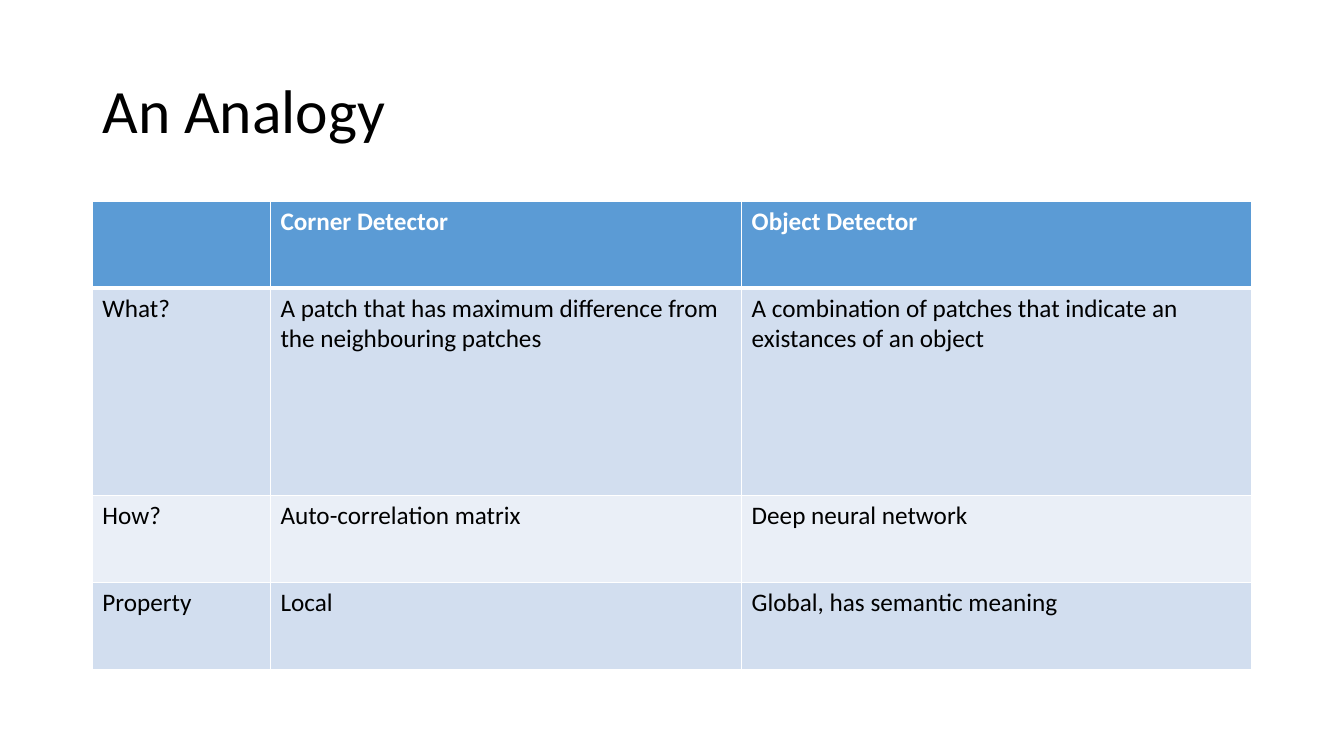
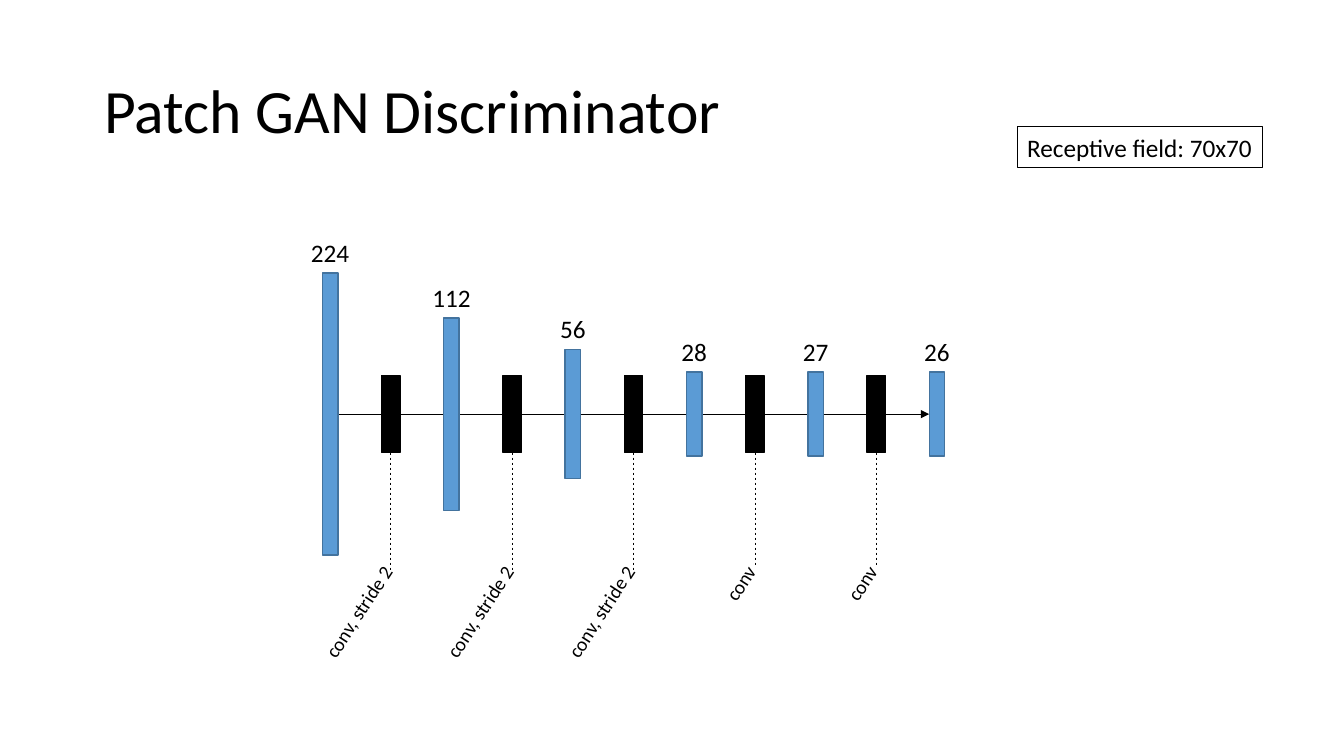
"""Build two slides: a detector analogy table and a patch discriminator diagram."""
from itertools import pairwise
from typing import Any, NamedTuple

from lxml.etree import SubElement
from pptx import Presentation
from pptx.dml.color import RGBColor
from pptx.enum.dml import MSO_LINE
from pptx.enum.shapes import MSO_CONNECTOR, MSO_SHAPE
from pptx.enum.text import MSO_ANCHOR, MSO_AUTO_SIZE as AutoSize, PP_ALIGN
from pptx.oxml import parse_xml
from pptx.oxml.ns import nsdecls, qn
from pptx.slide import Slide
from pptx.util import Emu, Inches, Pt

SLIDE_W, SLIDE_H = Emu(Inches(40) // 3), Inches(7.5)
COLUMNS, ROWS = 160, 90

BLACK = RGBColor(0x00, 0x00, 0x00)
WHITE = RGBColor(0xFF, 0xFF, 0xFF)
BLUE = RGBColor(0x5B, 0x9B, 0xD5)
DARK_BLUE = RGBColor(0x43, 0x73, 0x9E)
BAND_DARK = RGBColor(0xD2, 0xDE, 0xEF)
BAND_LIGHT = RGBColor(0xEA, 0xEF, 0xF7)

TITLE_FONT = {"name": "Calibri", "size": Pt(44), "bold": False}
BODY_FONT = {"name": "Calibri", "size": Pt(18), "bold": False}
HEADER_FONT = BODY_FONT | {"bold": True}
LABEL_FONT = BODY_FONT | {"size": Pt(14)}
TITLE_FRAME = {"vertical_anchor": MSO_ANCHOR.MIDDLE, "auto_size": AutoSize.NONE, "word_wrap": True}
TITLE_PARAGRAPH = {"alignment": PP_ALIGN.LEFT, "line_spacing": 0.9}
LABEL_FRAME = {"auto_size": AutoSize.SHAPE_TO_FIT_TEXT, "word_wrap": False}

COLUMN_WIDTHS = (21.2, 56.1, 60.7)
ROW_HEIGHTS = (10.3, 24.7, 10.35, 10.35)
ROW_FILLS = (BLUE, BAND_DARK, BAND_LIGHT, BAND_DARK)
ANALOGY = (
    ("", "Corner Detector", "Object Detector"),
    ("What?", "A patch that has maximum difference from the neighbouring patches",
     "A combination of patches that indicate an existances of an object"),
    ("How?", "Auto-correlation matrix", "Deep neural network"),
    ("Property", "Local", "Global, has semantic meaning"),
)

AXIS_ROW, FIRST_COL, PITCH = 49.3, 39.3, 14.45
MAP_WIDTH, KERNEL_WIDTH, KERNEL_HEIGHT = 1.85, 2.2, 9.15
CAPTION_WIDTH, CAPTION_HEIGHT = 7, 4.85


class Box(NamedTuple):
    left: float
    top: float
    width: float
    height: float

    def emu(self) -> tuple[Emu, Emu, Emu, Emu]:
        return col(self.left), row(self.top), col(self.width), row(self.height)


class FeatureMap(NamedTuple):
    size: str
    height: float


class LabelStyle(NamedTuple):
    shift: float
    middle: float
    length: float
    leader_end: float


class Layer(NamedTuple):
    label: str
    style: LabelStyle


STRIDED = LabelStyle(-3.65, 73.65, 13.7, 67.95)
PLAIN = LabelStyle(-1.5, 70.25, 5.65, 67.4)
FEATURE_MAPS = (
    FeatureMap("224", 33.6), FeatureMap("112", 22.9), FeatureMap("56", 15.4),
    FeatureMap("28", 10), FeatureMap("27", 10), FeatureMap("26", 10),
)
LAYERS = (Layer("conv, stride 2", STRIDED),) * 3 + (Layer("conv", PLAIN),) * 2


def col(count: float) -> Emu:
    return Emu(round(SLIDE_W * count / COLUMNS))


def row(count: float) -> Emu:
    return Emu(round(SLIDE_H * count / ROWS))


def centred(x: float, y: float, width: float, height: float) -> Box:
    return Box(x - width / 2, y - height / 2, width, height)


def assign(target: Any, values: dict[str, Any]) -> None:
    for key, value in values.items():
        setattr(target, key, value)


def write(frame: Any, text: str, font: dict[str, Any], color: RGBColor = BLACK) -> None:
    frame.text = text
    paragraph = frame.paragraphs[0]
    for part in (paragraph, *paragraph.runs):
        assign(part.font, font)
        part.font.color.rgb = color


def titled_slide(deck: Any, text: str, left: float) -> Slide:
    slide = deck.slides.add_slide(deck.slide_layouts[5])
    title = slide.shapes.title
    spot = Box(left, 4.8, 138, 17.4).emu()
    assign(title, dict(zip(("left", "top", "width", "height"), spot)))
    write(title.text_frame, text, TITLE_FONT)
    assign(title.text_frame, TITLE_FRAME)
    assign(title.text_frame.paragraphs[0], TITLE_PARAGRAPH)
    return slide


def add_block(slide: Slide, box: Box, fill: RGBColor | None, line: RGBColor, weight: float) -> Any:
    block = slide.shapes.add_shape(MSO_SHAPE.RECTANGLE, *box.emu())
    block.shadow.inherit = False
    if fill is None:
        block.fill.background()
    else:
        block.fill.solid()
        block.fill.fore_color.rgb = fill
    block.line.color.rgb = line
    block.line.width = Pt(weight)
    return block


def add_label(slide: Slide, box: Box, text: str, font: dict[str, Any]) -> Any:
    label = slide.shapes.add_textbox(*box.emu())
    write(label.text_frame, text, font)
    assign(label.text_frame, LABEL_FRAME)
    return label


def add_line(slide: Slide, start: tuple[float, float], end: tuple[float, float]) -> Any:
    line = slide.shapes.add_connector(
        MSO_CONNECTOR.STRAIGHT, col(start[0]), row(start[1]), col(end[0]), row(end[1]))
    line.line.color.rgb = BLACK
    line.line.width = Pt(0.5)
    SubElement(line._element.spPr, qn("a:effectLst"))
    return line


def set_borders(cell: Any, weights: dict[str, float]) -> None:
    properties = cell._tc.get_or_add_tcPr()
    for index, (side, weight) in enumerate(weights.items()):
        properties.insert(index, parse_xml(
            f'<a:ln{side} {nsdecls("a")} w="{Pt(weight)}"><a:solidFill>'
            f'<a:srgbClr val="{WHITE}"/></a:solidFill></a:ln{side}>'))


def add_analogy(slide: Slide) -> None:
    spot = Box(11, 24, sum(COLUMN_WIDTHS), sum(ROW_HEIGHTS))
    table = slide.shapes.add_table(len(ANALOGY), len(COLUMN_WIDTHS), *spot.emu()).table
    for column, width in zip(table.columns, COLUMN_WIDTHS):
        column.width = col(width)
    for index, (texts, height, fill) in enumerate(zip(ANALOGY, ROW_HEIGHTS, ROW_FILLS)):
        table.rows[index].height = row(height)
        header = index == 0
        for cell, text in zip(table.rows[index].cells, texts):
            write(cell.text_frame, text, HEADER_FONT if header else BODY_FONT,
                  WHITE if header else BLACK)
            cell.fill.solid()
            cell.fill.fore_color.rgb = fill
            set_borders(cell, {"L": 1, "R": 1, "T": 3 if index == 1 else 1, "B": 3 if header else 1})


def add_feature_map(slide: Slide, x: float, feature_map: FeatureMap) -> None:
    box = centred(x, AXIS_ROW, MAP_WIDTH, feature_map.height)
    add_block(slide, box, BLUE, DARK_BLUE, 1)
    caption_box = Box(x - CAPTION_WIDTH / 2, box.top - CAPTION_HEIGHT, CAPTION_WIDTH, CAPTION_HEIGHT)
    caption = add_label(slide, caption_box, feature_map.size, BODY_FONT)
    caption.text_frame.paragraphs[0].alignment = PP_ALIGN.CENTER


def add_layer(slide: Slide, x: float, layer: Layer) -> None:
    style = layer.style
    add_block(slide, centred(x, AXIS_ROW, KERNEL_WIDTH, KERNEL_HEIGHT), BLACK, BLACK, 1)
    leader = add_line(slide, (x, AXIS_ROW + KERNEL_HEIGHT / 2), (x, style.leader_end))
    leader.line.dash_style = MSO_LINE.DASH
    label_box = centred(x + style.shift, style.middle, 5.3, style.length)
    label = add_label(slide, label_box, layer.label, LABEL_FONT)
    label.rotation = 33
    label.text_frame._txBody.bodyPr.set("vert", "vert270")


def add_discriminator(slide: Slide) -> None:
    centres = [FIRST_COL + PITCH * index for index in range(len(FEATURE_MAPS))]
    flow = add_line(slide, (centres[0] + MAP_WIDTH / 2, AXIS_ROW),
                    (centres[-1] - MAP_WIDTH / 2, AXIS_ROW))
    SubElement(flow.line._get_or_add_ln(), qn("a:tailEnd"), type="triangle")
    for x, feature_map in zip(centres, FEATURE_MAPS):
        add_feature_map(slide, x, feature_map)
    for (before, after), layer in zip(pairwise(centres), LAYERS):
        add_layer(slide, (before + after) / 2, layer)
    field = add_block(slide, Box(121.1, 15.1, 29.2, CAPTION_HEIGHT), None, BLACK, 0.75)
    write(field.text_frame, "Receptive field: 70x70", BODY_FONT)
    assign(field.text_frame, LABEL_FRAME)
    field.text_frame.paragraphs[0].alignment = PP_ALIGN.LEFT


def main() -> None:
    deck = Presentation()
    assign(deck, {"slide_width": SLIDE_W, "slide_height": SLIDE_H})
    add_analogy(titled_slide(deck, "An Analogy", 11))
    add_discriminator(titled_slide(deck, "Patch GAN Discriminator", 11.2))
    deck.save("out.pptx")


if __name__ == "__main__":
    main()
